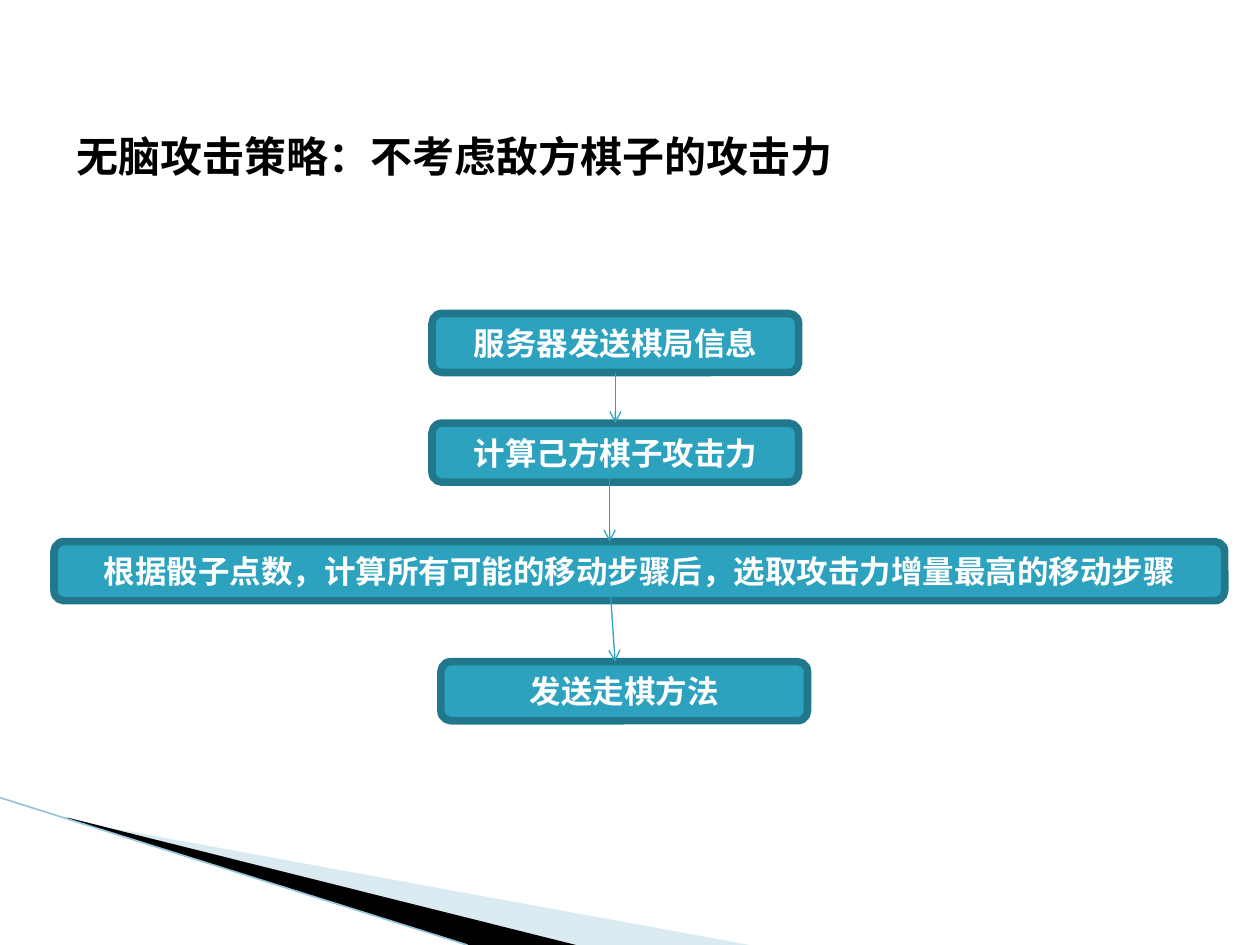
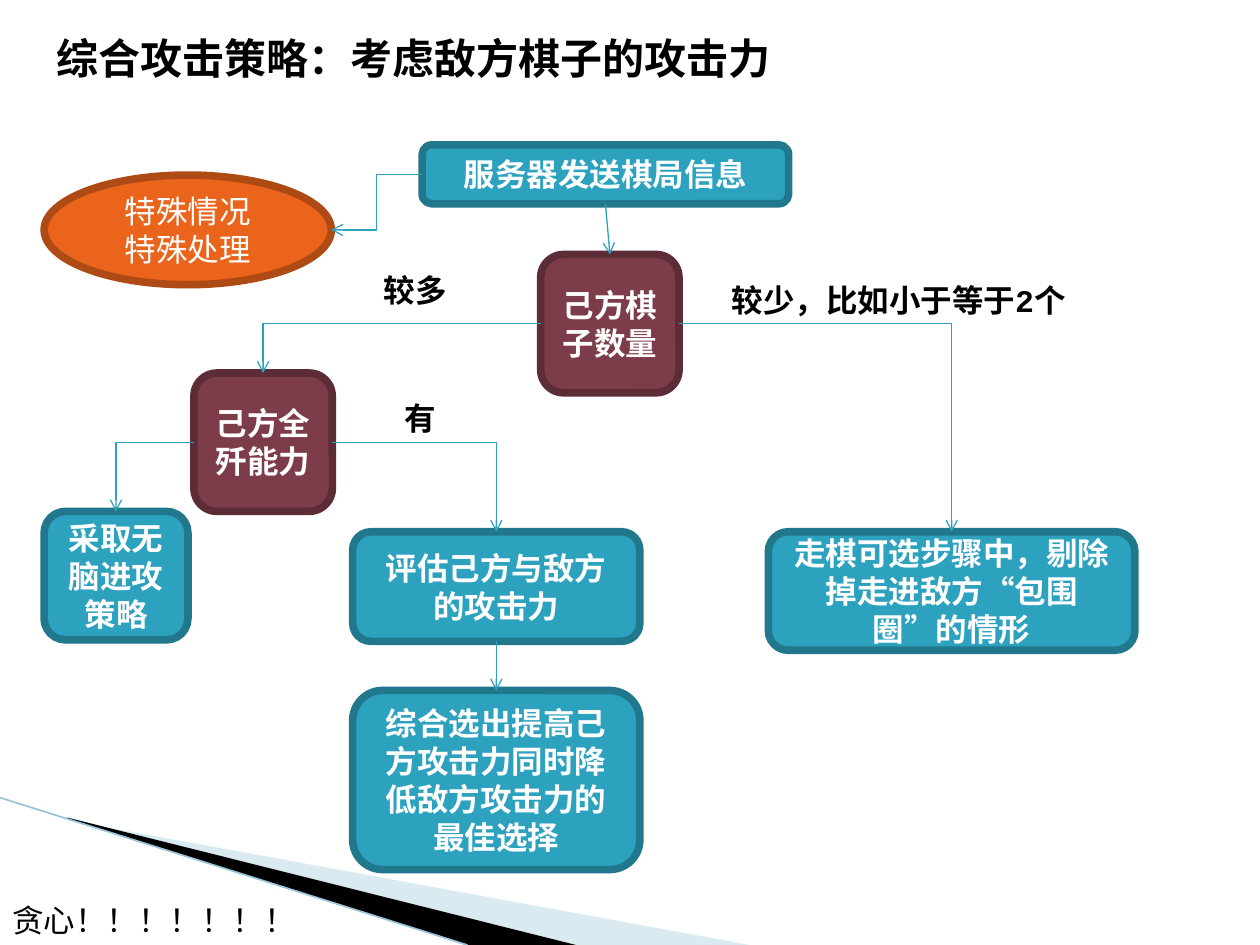
import dataclasses

import lxml.etree
import pptx
import pptx.dml.color
import pptx.enum.shapes
import pptx.enum.text
import pptx.oxml.ns
import pptx.util

Cm = pptx.util.Cm
SHAPES = pptx.enum.shapes.MSO_SHAPE
CONNECTORS = pptx.enum.shapes.MSO_CONNECTOR
SIDES = ["top", "left", "bottom", "right"]


@dataclasses.dataclass(frozen=True)
class Theme:
    """Colours, font and sizes of the deck."""
    font: str = "Courier New"
    title_size: float = 24
    body_size: float = 18
    border_width: float = 4.33
    arrow_width: float = 0.75
    edge_width: float = 0.95
    text: str = "000000"
    light_text: str = "FFFFFF"
    step: tuple = ("2DA2BF", "21788D")
    decision: tuple = ("7D3C4A", "5C2C37")
    special: tuple = ("EB641B", "AE4A14")
    arrow: str = "2DA2BF"
    pale_wedge: str = "A0CBDC"
    dark_wedge: str = "000000"
    wedge_edge: str = "97C5D8"


def rgb(value):
    """Turn a hex string into a colour."""
    return pptx.dml.color.RGBColor.from_string(value)


def add_xml(parent, tag, **attributes):
    """Append an XML element with the given attributes."""
    return lxml.etree.SubElement(parent, pptx.oxml.ns.qn(tag), attributes)


def find_xml(parent, tag):
    """Return the first descendant with the given tag."""
    return parent.find(".//" + pptx.oxml.ns.qn(tag))


def anchor_point(shape, side):
    """Return the middle of one side of a shape."""
    x, y = shape.left + shape.width // 2, shape.top + shape.height // 2
    return {"top": (x, shape.top), "left": (shape.left, y),
            "bottom": (x, shape.top + shape.height),
            "right": (shape.left + shape.width, y)}[side]


class FlowDeck:
    """Draws flow charts on the slides of a presentation."""

    def __init__(self, theme):
        """Create an empty 4:3 presentation."""
        self.theme = theme
        self.presentation = pptx.Presentation()
        self.presentation.slide_width = Cm(25.4)
        self.presentation.slide_height = Cm(19.05)
        self.slide = None

    def new_slide(self, title, left, top, width):
        """Start a slide with the corner decoration and a title."""
        layout = self.presentation.slide_layouts[6]
        self.slide = self.presentation.slides.add_slide(layout)
        self.wedge([(1.4, 16.54), (15.11, 19.05), (11.58, 19.05), (1.4, 16.51)],
                   self.theme.pale_wedge, opacity=40)
        self.wedge([(1.35, 16.48), (11.61, 19.05), (9.45, 19.05), (1.37, 16.51)],
                   self.theme.dark_wedge)
        self.line((0, Cm(16.08)), (Cm(9.42), Cm(19.05)),
                  self.theme.wedge_edge, self.theme.edge_width)
        self.label(title, left, top, width, 1.27, size=self.theme.title_size)

    def wedge(self, points, color, opacity=100):
        """Draw a filled polygon without an outline."""
        corners = [(Cm(x), Cm(y)) for x, y in points]
        builder = self.slide.shapes.build_freeform(*corners[0])
        builder.add_line_segments(corners[1:])
        shape = builder.convert_to_shape()
        shape.shadow.inherit = False
        shape.fill.solid()
        shape.fill.fore_color.rgb = rgb(color)
        shape.line.fill.background()
        if opacity < 100:
            fill_color = find_xml(shape.element.spPr, "a:srgbClr")
            add_xml(fill_color, "a:alpha", val=str(opacity * 1000))

    def set_text(self, shape, text, color, size, bold, centered):
        """Fill a shape with text, one paragraph for each line."""
        shape.text_frame.text = text
        for paragraph in shape.text_frame.paragraphs:
            if centered:
                paragraph.alignment = pptx.enum.text.PP_ALIGN.CENTER
            else:
                paragraph.alignment = pptx.enum.text.PP_ALIGN.LEFT
            paragraph.font.name = self.theme.font
            paragraph.font.size = pptx.util.Pt(size)
            paragraph.font.bold = bold
            paragraph.font.color.rgb = rgb(color)

    def label(self, text, left, top, width, height=1.02, size=None,
              bold=True, wrap=False):
        """Add free text."""
        box = self.slide.shapes.add_textbox(Cm(left), Cm(top), Cm(width), Cm(height))
        box.text_frame.word_wrap = wrap
        box.text_frame.auto_size = pptx.enum.text.MSO_AUTO_SIZE.SHAPE_TO_FIT_TEXT
        self.set_text(box, text, self.theme.text, size or self.theme.body_size,
                      bold, centered=False)

    def node(self, text, left, top, width=7.39, height=1.19, colors=None,
             kind=SHAPES.ROUNDED_RECTANGLE, bold=True):
        """Add a bordered flow chart node and return it."""
        fill, border = colors or self.theme.step
        shape = self.slide.shapes.add_shape(
            kind, Cm(left), Cm(top), Cm(width), Cm(height))
        shape.shadow.inherit = False
        shape.fill.solid()
        shape.fill.fore_color.rgb = rgb(fill)
        shape.line.color.rgb = rgb(border)
        shape.line.width = pptx.util.Pt(self.theme.border_width)
        shape.text_frame.word_wrap = True
        shape.text_frame.vertical_anchor = pptx.enum.text.MSO_ANCHOR.MIDDLE
        self.set_text(shape, text, self.theme.light_text, self.theme.body_size,
                      bold, centered=True)
        return shape

    def decision(self, text, left, top):
        """Add a square decision node and return it."""
        return self.node(text, left, top, 2.79, 2.79, self.theme.decision)

    def line(self, start, end, color, width, kind=CONNECTORS.STRAIGHT):
        """Add a plain connector between two points and return it."""
        connector = self.slide.shapes.add_connector(kind, *start, *end)
        connector.line.color.rgb = rgb(color)
        connector.line.width = pptx.util.Pt(width)
        add_xml(connector.element.spPr, "a:effectLst")
        return connector

    def arrow(self, start, end, kind=CONNECTORS.STRAIGHT):
        """Add a connector with an arrowhead between two points."""
        connector = self.line(start, end, self.theme.arrow,
                              self.theme.arrow_width, kind)
        add_xml(find_xml(connector.element, "a:ln"), "a:tailEnd", type="arrow")
        return connector

    def link(self, source, source_side, target, target_side, bends=0):
        """Join the sides of two nodes with an arrow of 0, 1 or 2 bends."""
        connector = self.arrow(anchor_point(source, source_side),
                               anchor_point(target, target_side),
                               CONNECTORS.ELBOW if bends else CONNECTORS.STRAIGHT)
        if bends == 1:
            find_xml(connector.element, "a:prstGeom").set("prst", "bentConnector2")
        joints = find_xml(connector.element, "p:cNvCxnSpPr")
        for tag, shape, side in (("a:stCxn", source, source_side),
                                 ("a:endCxn", target, target_side)):
            # An ellipse has eight connection sites, a rounded box has four.
            step = 2 if shape.auto_shape_type == SHAPES.OVAL else 1
            add_xml(joints, tag, id=str(shape.shape_id),
                    idx=str(SIDES.index(side) * step))


def simple_strategy(deck):
    """Build the slide on the strategy that ignores the opponent."""
    deck.new_slide("无脑攻击策略：不考虑敌方棋子的攻击力", 1.3, 2.51, 15.98)
    receive = deck.node("服务器发送棋局信息", 8.71, 6.32)
    power = deck.node("计算己方棋子攻击力", 8.71, 8.53)
    deck.node("根据骰子点数，计算所有可能的移动步骤后，选取攻击力增量最高的移动步骤",
              1.09, 10.92, width=23.6)
    deck.node("发送走棋方法", 8.89, 13.34)
    deck.link(receive, "bottom", power, "top")
    deck.arrow((Cm(12.29), Cm(9.53)), (Cm(12.29), Cm(10.92)))
    deck.arrow((Cm(12.29), Cm(11.73)), (Cm(12.4), Cm(13.34)))


def combined_strategy(deck):
    """Build the slide on the strategy that weighs the opponent."""
    deck.new_slide("综合攻击策略：考虑敌方棋子的攻击力", 0.89, 0.53, 15.11)
    receive = deck.node("服务器发送棋局信息", 8.51, 2.92)
    special = deck.node("特殊情况\n特殊处理", 0.89, 3.53, 5.79, 2.21,
                        deck.theme.special, SHAPES.OVAL, bold=False)
    count = deck.decision("己方棋子数量", 10.9, 5.13)
    ability = deck.decision("己方全歼能力", 3.91, 7.52)
    simple = deck.node("采取无脑进攻策略", 0.89, 10.31, 2.9, 2.59)
    evaluate = deck.node("评估己方与敌方的攻击力", 7.11, 10.72, 5.79, 2.21)
    avoid = deck.node("走棋可选步骤中，剔除掉走进敌方“包围圈”的情形",
                      15.49, 10.72, height=2.39)
    choose = deck.node("综合选出提高己方攻击力同时降低敌方攻击力的最佳选择",
                       7.11, 13.92, 5.79, 3.61)

    deck.link(receive, "left", special, "right", bends=2)
    deck.link(receive, "bottom", count, "top")
    deck.link(count, "left", ability, "top", bends=1)
    deck.link(count, "right", avoid, "top", bends=1)
    deck.link(ability, "left", simple, "top", bends=1)
    deck.link(ability, "right", evaluate, "top", bends=1)
    deck.link(evaluate, "bottom", choose, "top")

    deck.label("较多", 7.49, 5.33, 1.8)
    deck.label("较少，比如小于等于2个", 14.5, 5.54, 7.29, wrap=True)
    deck.label("有", 7.9, 7.92, 1.17)
    deck.label("贪心！！！！！！！", 0, 18.03, 6.27, bold=False)


flow_deck = FlowDeck(Theme())
simple_strategy(flow_deck)
combined_strategy(flow_deck)
flow_deck.presentation.save("out.pptx")
